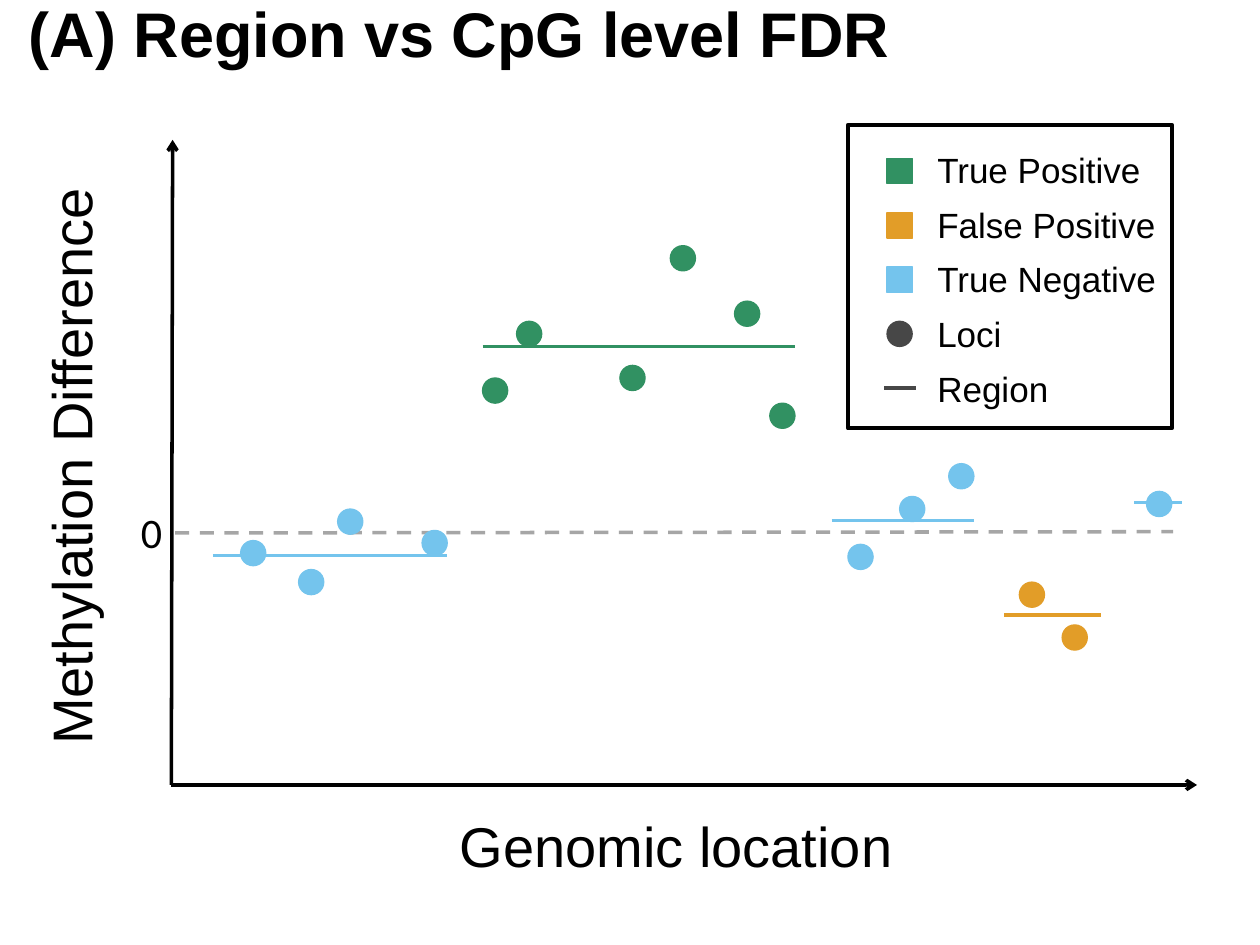
from dataclasses import dataclass

from lxml import etree
from pptx import Presentation
from pptx.dml.color import RGBColor
from pptx.enum.dml import MSO_LINE
from pptx.enum.shapes import MSO_CONNECTOR, MSO_SHAPE
from pptx.enum.text import MSO_ANCHOR, MSO_AUTO_SIZE, PP_ALIGN
from pptx.oxml.ns import qn
from pptx.util import Inches, Pt

STRAIGHT = MSO_CONNECTOR.STRAIGHT
CIRCLE, SQUARE = MSO_SHAPE.OVAL, MSO_SHAPE.RECTANGLE
DASH = MSO_LINE.DASH
TOP, LEFT = MSO_ANCHOR.TOP, PP_ALIGN.LEFT
GROW = MSO_AUTO_SIZE.SHAPE_TO_FIT_TEXT
TITLE_ONLY = 5

# The slide is a grid of square cells
COLUMNS, ROWS = 100, 75
MARKER = 2


@dataclass(frozen=True)
class Theme:
    ink: str = "000000"
    true_positive: str = "319162"
    false_positive: str = "E29D28"
    true_negative: str = "74C4ED"
    key: str = "474747"
    zero: str = "A6A6A6"
    font: str = "Arial"
    tick_font: str = "Calibri"
    title_size: int = 36
    axis_size: int = 32
    tick_size: int = 24
    legend_size: int = 20
    line: float = 2
    frame: float = 2.25
    outline: float = 0.75


THEME = Theme()


def write_text(shape, text, size, font=THEME.font, bold=False, spacing=None, wrap=False):
    """Fill a shape with one paragraph per line of text."""
    frame = shape.text_frame
    frame.word_wrap = wrap
    frame.auto_size = GROW
    frame.vertical_anchor = TOP
    for index, words in enumerate(text.split("\n")):
        para = frame.add_paragraph() if index else frame.paragraphs[0]
        para.alignment = LEFT
        para.line_spacing = spacing
        span = para.add_run()
        span.text = words
        span.font.name = font
        span.font.size = Pt(size)
        span.font.bold = bold
        span.font.color.rgb = RGBColor.from_string(THEME.ink)


class Painter:
    """Draws on one slide, with all lengths in grid columns and rows."""

    def __init__(self, deck, theme):
        self.theme = theme
        self.cell = deck.slide_width / COLUMNS
        self.slide = deck.slides.add_slide(deck.slide_layouts[TITLE_ONLY])

    def measure(self, *cells):
        return [round(count * self.cell) for count in cells]

    def title(self, text, *place):
        box = self.slide.shapes.title
        box.left, box.top, box.width, box.height = self.measure(*place)
        write_text(box, text, self.theme.title_size, bold=True, wrap=True)

    def label(self, text, size, *place, rotation=0, **style):
        box = self.slide.shapes.add_textbox(*self.measure(*place))
        box.rotation = rotation
        write_text(box, text, size, **style)

    def shape(self, kind, place, line, width, fill=None):
        shape = self.slide.shapes.add_shape(kind, *self.measure(*place))
        shape.shadow.inherit = False
        shape.line.color.rgb = RGBColor.from_string(line)
        shape.line.width = Pt(width)
        if fill:
            shape.fill.solid()
            shape.fill.fore_color.rgb = RGBColor.from_string(fill)
        else:
            shape.fill.background()

    def marker(self, kind, left, top, color):
        self.shape(kind, (left, top, MARKER, MARKER), color, self.theme.outline, color)

    def line(self, start, end, color, dash=None, arrow=False):
        connector = self.slide.shapes.add_connector(STRAIGHT, *self.measure(*start, *end))
        connector.line.color.rgb = RGBColor.from_string(color)
        connector.line.width = Pt(self.theme.line)
        if dash:
            connector.line.dash_style = dash
        properties = connector._element.spPr
        if arrow:
            etree.SubElement(properties.find(qn("a:ln")), qn("a:tailEnd"), type="arrow")
        etree.SubElement(properties, qn("a:effectLst"))


# Loci as left and top; regions as start column, end column and row
LOCI = {
    THEME.true_negative: [(19.1, 42.9), (23.7, 45.2), (26.8, 40.4), (33.5, 42.1),
                          (67.3, 43.2), (71.4, 39.4), (75.3, 36.8), (91, 39)],
    THEME.true_positive: [(38.3, 30), (41, 25.5), (49.2, 29), (53.2, 19.5),
                          (58.3, 23.9), (61.1, 32)],
    THEME.false_positive: [(80.9, 46.2), (84.3, 49.6)],
}
REGIONS = {
    THEME.true_positive: [(38.3, 63.1, 27.5)],
    THEME.true_negative: [(16.9, 35.5, 44.1), (66, 77.3, 41.3), (90, 93.8, 39.9)],
    THEME.false_positive: [(79.7, 87.4, 48.8)],
}
LEGEND = [
    ("True Positive", SQUARE, THEME.true_positive),
    ("False Positive", SQUARE, THEME.false_positive),
    ("True Negative", SQUARE, THEME.true_negative),
    ("Loci", CIRCLE, THEME.key),
    ("Region", None, THEME.key),
]
LEGEND_LEFT, LEGEND_TOP, LEGEND_STEP = 70.4, 12.6, 4.3


def draw_axes(painter):
    origin = (13.6, 62.3)
    painter.line(origin, (13.7, 11.1), THEME.ink, arrow=True)
    painter.line(origin, (95, 62.3), THEME.ink, arrow=True)
    painter.label("Genomic location", THEME.axis_size, 35.5, 63.9, 36.7, 6.4)
    painter.label("Methylation Difference", THEME.axis_size,
                  -17.7, 33.6, 46.6, 6.4, rotation=270)
    painter.line((13.9, 42.3), (93.1, 42.2), THEME.zero, dash=DASH)
    painter.label("0", THEME.tick_size, 10.2, 39.7, 3.7, 5, font=THEME.tick_font)


def draw_data(painter):
    for color, places in LOCI.items():
        for left, top in places:
            painter.marker(CIRCLE, left, top, color)
    for color, spans in REGIONS.items():
        for start, end, row in spans:
            painter.line((start, row), (end, row), color)


def draw_legend(painter):
    painter.shape(SQUARE, (67.3, 9.9, 25.7, 24.1), THEME.ink, THEME.frame)
    painter.label("\n".join(name for name, _, _ in LEGEND), THEME.legend_size,
                  73.4, 10.3, 19.5, 22.7, spacing=1.3)
    for index, (_, kind, color) in enumerate(LEGEND):
        top = LEGEND_TOP + index * LEGEND_STEP
        if kind is None:
            middle = top + MARKER / 2
            painter.line((70.2, middle), (72.7, middle), color)
        else:
            painter.marker(kind, LEGEND_LEFT, top, color)


def main():
    deck = Presentation()
    deck.slide_width, deck.slide_height = Inches(COLUMNS / 10), Inches(ROWS / 10)
    painter = Painter(deck, THEME)
    painter.title("(A) Region vs CpG level FDR", 1.3, -0.9, 83.9, 7.1)
    draw_axes(painter)
    draw_data(painter)
    draw_legend(painter)
    deck.save("out.pptx")


if __name__ == "__main__":
    main()
